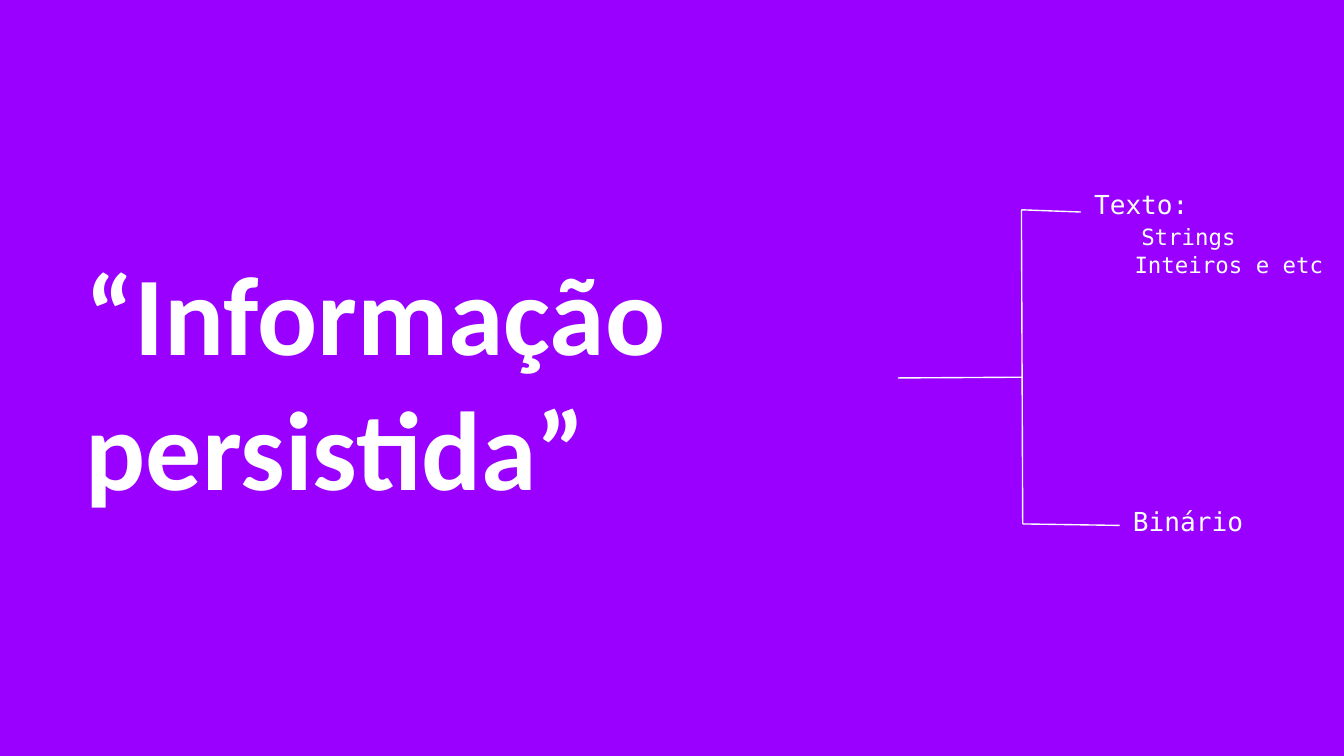
from pptx import Presentation
from pptx.dml.color import RGBColor
from pptx.enum.shapes import MSO_CONNECTOR as Link
from pptx.enum.text import MSO_ANCHOR as Anchor
from pptx.oxml.ns import qn
from pptx.util import Pt

WHITE = RGBColor(0xFF, 0xFF, 0xFF)
PURPLE = RGBColor(0x99, 0x00, 0xFF)
MONO = "DejaVu Sans Mono"
INSET = 7.2


def write(para, text, size=14, font=MONO, bold=False, color=WHITE, indent=0, before=0):
    run = para.add_run()
    run.text = text
    run.font.size = Pt(size)
    run.font.name = font
    run.font.bold = bold
    run.font.color.rgb = color
    para.space_before = Pt(before)
    para._p.get_or_add_pPr().set("marL", str(Pt(indent)))


class Deck:
    """Hold the style and the current slide."""

    def __init__(self, width, height):
        self.file = Presentation()
        self.file.slide_width, self.file.slide_height = Pt(width), Pt(height)
        self.slide = self.file.slides.add_slide(self.file.slide_layouts[6])
        fill = self.slide.background.fill
        fill.solid()
        fill.fore_color.rgb = PURPLE

    def label(self, left, top, width, height, *rows, anchor=Anchor.TOP):
        box = self.slide.shapes.add_textbox(Pt(left), Pt(top), Pt(width), Pt(height))
        frame = box.text_frame
        frame.word_wrap = True
        frame.vertical_anchor = anchor
        frame.margin_left = frame.margin_right = Pt(INSET)
        frame.margin_top = frame.margin_bottom = Pt(INSET)
        for i, (text, style) in enumerate(rows):
            para = frame.add_paragraph() if i else frame.paragraphs[0]
            write(para, text, **style)

    def line(self, start, end):
        ends = [Pt(n) for n in (*start, *end)]
        line = self.slide.shapes.add_connector(Link.STRAIGHT, *ends)
        line.line.color.rgb = WHITE
        line.line.width = Pt(0.75)
        props = line._element.spPr
        props.append(props.makeelement(qn("a:effectLst"), {}))


def main():
    deck = Deck(720, 405)
    title = ("“Informação persistida”", {"size": 60, "font": "Calibri", "bold": True})
    deck.label(38.9, 41.8, 442, 321.8, title, anchor=Anchor.MIDDLE)

    top, foot = (547.2, 112.4), (547.9, 280.7)
    deck.line((481, 202.5), (547.6, 202.1))
    deck.line(foot, top)
    deck.line(top, (579, 113.6))
    deck.line(foot, (599.8, 281.5))

    deck.label(
        579, 93.6, 138.2, 55.4,
        ("Texto:", {}),
        ("Strings", {"size": 12, "indent": 25.3, "before": 2}),
        ("Inteiros e etc", {"size": 12, "indent": 21.7, "before": 0.5}),
    )
    deck.label(599.8, 263.5, 138.2, 55.4, ("Binário", {}))
    deck.file.save("out.pptx")


if __name__ == "__main__":
    main()
